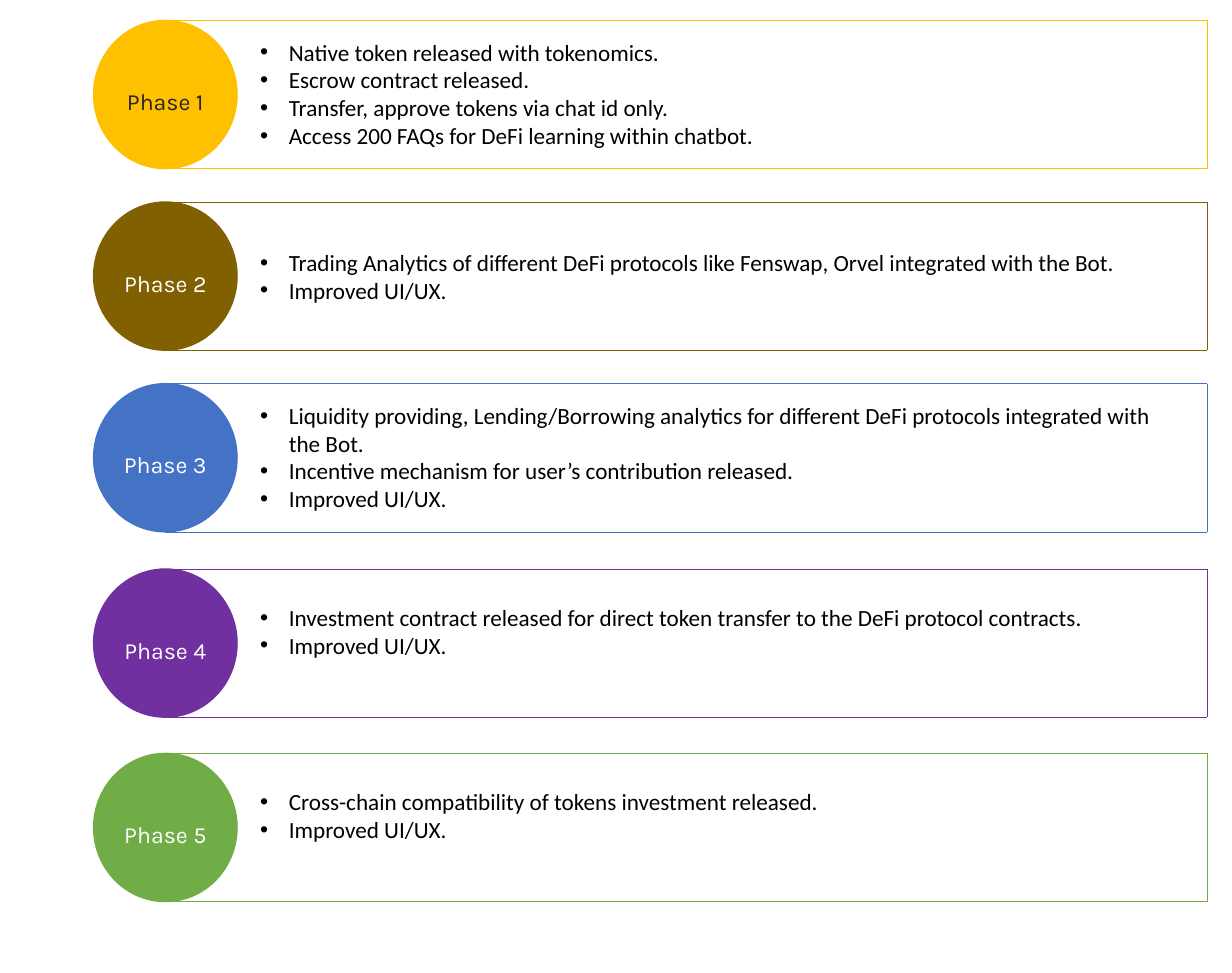
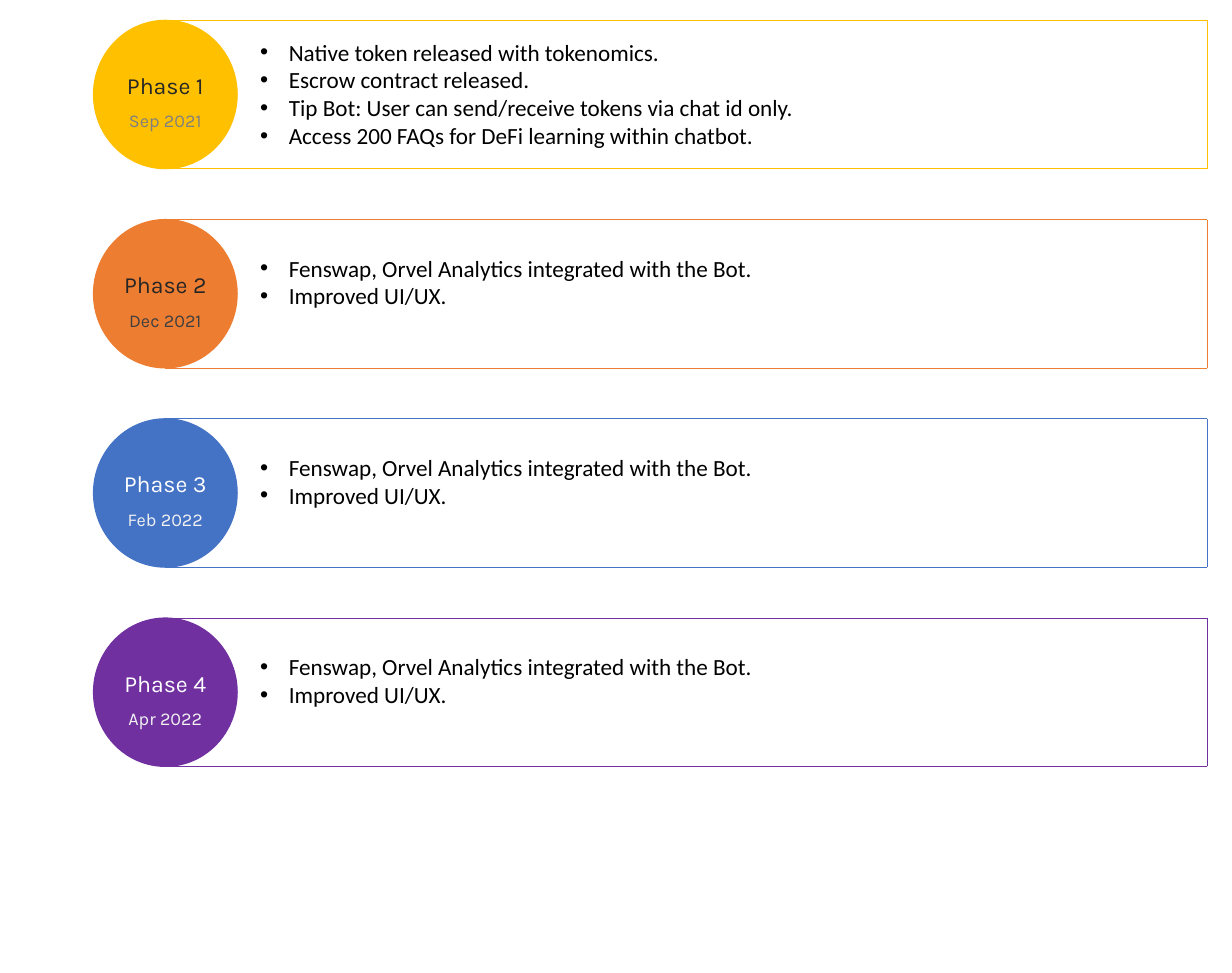
import pptx
import pptx.util
import pptx.dml.color
import pptx.enum.shapes
import pptx.enum.text
import pptx.oxml.ns
from lxml import etree

Inches = pptx.util.Inches
Pt = pptx.util.Pt


# Shared colours, fonts, sizes and measures
class Theme:
    gold, brown, orange = "FFC000", "806000", "ED7D31"
    blue, purple, green = "4472C4", "7030A0", "70AD47"
    black, dark, white = "000000", "262626", "FFFFFF"
    gray, charcoal, pale = "808080", "404040", "F2F2F2"
    label_font, body_font = "Karla", "Calibri"
    text_size, date_size = 18, 14
    circle_left, circle_width, band_height = 1.01, 1.55, 1.6
    frame_left, frame_right = 1.78, 13.03
    text_left, text_width, line_height = 2.71, 9.89, 0.3
    bullet_indent = 0.31


def rgb(value):
    return pptx.dml.color.RGBColor.from_string(value)


def write_para(frame, text, *, first, font, size, color, centred=False, bullet=False):
    para = frame.paragraphs[0] if first else frame.add_paragraph()
    span = para.add_run()
    span.text = text
    span.font.name = font
    span.font.size = Pt(size)
    span.font.color.rgb = rgb(color)
    if centred:
        para.alignment = pptx.enum.text.PP_ALIGN.CENTER
        para.line_spacing = 1.5
    if bullet:
        props = para._p.get_or_add_pPr()
        props.set("marL", str(Inches(Theme.bullet_indent)))
        props.set("indent", str(-Inches(Theme.bullet_indent)))
        mark_font = etree.SubElement(props, pptx.oxml.ns.qn("a:buFont"))
        mark_font.set("typeface", "Arial")
        etree.SubElement(props, pptx.oxml.ns.qn("a:buChar")).set("char", "•")


# Roadmap content: top, fill, label colour, date, date colour, text offset, bullets
improved = "Improved UI/UX."
native = "Native token released with tokenomics."
escrow = "Escrow contract released."
faqs = "Access 200 FAQs for DeFi learning within chatbot."
analytics = ["Fenswap, Orvel Analytics integrated with the Bot.", improved]

outline_phases = [
    (0.22, Theme.gold, Theme.dark, None, None, 0.14,
     [native, escrow, "Transfer, approve tokens via chat id only.", faqs]),
    (2.18, Theme.brown, Theme.white, None, None, 0.45,
     ["Trading Analytics of different DeFi protocols like Fenswap, Orvel "
      "integrated with the Bot.", improved]),
    (4.14, Theme.blue, Theme.white, None, None, 0.14,
     ["Liquidity providing, Lending/Borrowing analytics for different DeFi "
      "protocols integrated with the Bot.",
      "Incentive mechanism for user’s contribution released.", improved]),
    (6.14, Theme.purple, Theme.white, None, None, 0.32,
     ["Investment contract released for direct token transfer to the DeFi "
      "protocol contracts.", improved]),
    (8.13, Theme.green, Theme.white, None, None, 0.32,
     ["Cross-chain compatibility of tokens investment released.", improved]),
]

first_top, pitch = 0.22, 2.15
dated_phases = [
    (first_top, Theme.gold, Theme.dark, "Sep 2021", Theme.gray, 0.14,
     [native, escrow, "Tip Bot: User can send/receive tokens via chat id only.", faqs]),
    (first_top + pitch, Theme.orange, Theme.dark, "Dec 2021", Theme.charcoal, 0.32, analytics),
    (first_top + 2 * pitch, Theme.blue, Theme.white, "Feb 2022", Theme.pale, 0.32, analytics),
    (first_top + 3 * pitch, Theme.purple, Theme.white, "Apr 2022", Theme.pale, 0.32, analytics),
]

deck = pptx.Presentation()
deck.slide_width, deck.slide_height = Inches(13.3), Inches(10.5)
blank_layout = deck.slide_layouts[6]

for phases in (outline_phases, dated_phases):
    page = deck.slides.add_slide(blank_layout)
    for number, phase in enumerate(phases, start=1):
        top, fill, label_color, date, date_color, text_offset, bullets = phase
        bottom = top + Theme.band_height
        band = page.shapes.add_group_shape()

        # Phase circle
        circle = band.shapes.add_shape(
            pptx.enum.shapes.MSO_SHAPE.FLOWCHART_CONNECTOR,
            Inches(Theme.circle_left), Inches(top),
            Inches(Theme.circle_width), Inches(Theme.band_height))
        circle.shadow.inherit = False
        circle.fill.solid()
        circle.fill.fore_color.rgb = rgb(fill)
        circle.line.color.rgb = rgb(fill)
        circle.line.width = Pt(1)
        circle.text_frame.vertical_anchor = pptx.enum.text.MSO_ANCHOR.MIDDLE
        write_para(circle.text_frame, f"Phase {number}", first=True, centred=True,
                   font=Theme.label_font, size=Theme.text_size, color=label_color)
        if date:
            write_para(circle.text_frame, date, first=False, centred=True,
                       font=Theme.label_font, size=Theme.date_size, color=date_color)

        # Open frame: top, right and bottom edges
        corners = [(Theme.frame_left, top), (Theme.frame_right, top),
                   (Theme.frame_right, bottom), (Theme.frame_left, bottom)]
        for start, end in zip(corners, corners[1:]):
            edge = band.shapes.add_connector(
                pptx.enum.shapes.MSO_CONNECTOR.STRAIGHT,
                *map(Inches, start), *map(Inches, end))
            edge.line.color.rgb = rgb(fill)
            edge.line.width = Pt(0.5)
            etree.SubElement(edge._element.spPr, pptx.oxml.ns.qn("a:effectLst"))

        # Bulleted milestones
        lines = 2 if len(bullets) == 2 else 4
        box = page.shapes.add_textbox(
            Inches(Theme.text_left), Inches(top + text_offset),
            Inches(Theme.text_width), Inches(0.11 + lines * Theme.line_height))
        box.text_frame.word_wrap = True
        box.text_frame.auto_size = pptx.enum.text.MSO_AUTO_SIZE.SHAPE_TO_FIT_TEXT
        for index, bullet in enumerate(bullets):
            write_para(box.text_frame, bullet, first=index == 0, bullet=True,
                       font=Theme.body_font, size=Theme.text_size, color=Theme.black)

deck.save("out.pptx")
